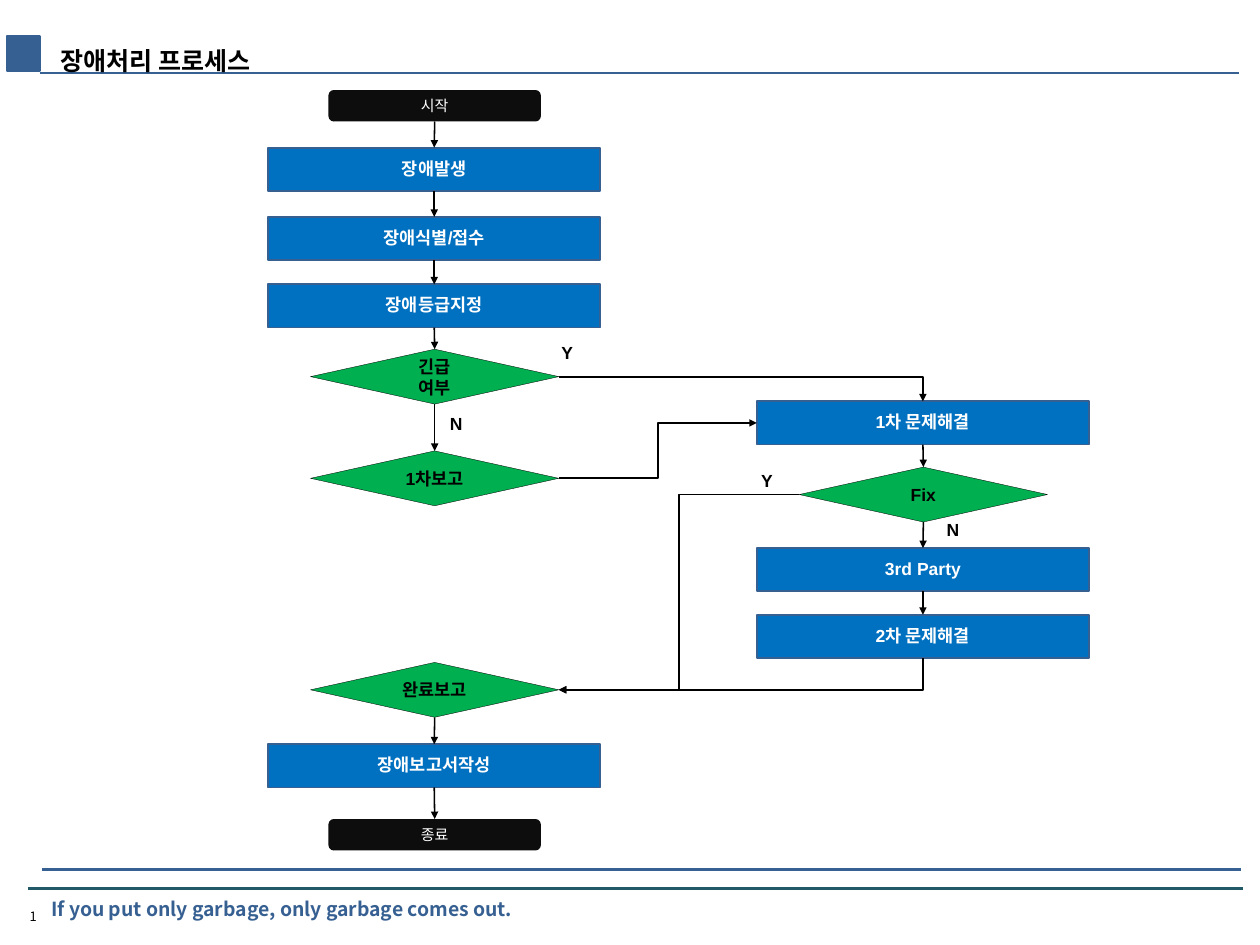
"""Build the incident handling process flowchart slide."""
from lxml import etree
from pptx import Presentation
from pptx import util as u
from pptx.dml.color import RGBColor
from pptx.enum import shapes, text
from pptx.oxml import ns

BLACK = RGBColor(0x00, 0x00, 0x00)
INK = RGBColor(0x0D, 0x0D, 0x0D)
WHITE = RGBColor(0xFF, 0xFF, 0xFF)
NAVY = RGBColor(0x37, 0x60, 0x92)
TEAL = RGBColor(0x21, 0x59, 0x68)
BLUE = RGBColor(0x00, 0x70, 0xC0)
GREEN = RGBColor(0x00, 0xB0, 0x50)
NOTO = "Noto Sans CJK KR"
LEFT_COLUMN, RIGHT_COLUMN = 4.83, 10.26
TOP, LEFT, BOTTOM, RIGHT = range(4)


def write(frame, words, size=14, font="Arial", color=BLACK, bold=True, align=None,
          anchor=text.MSO_ANCHOR.MIDDLE, spacing=None, before=None, inset=(0.1, 0.05)):
    frame.word_wrap = True
    frame.vertical_anchor = anchor
    frame.margin_left = frame.margin_right = u.Inches(inset[0])
    frame.margin_top = frame.margin_bottom = u.Inches(inset[1])
    for index, line in enumerate(words.split("\n")):
        para = frame.add_paragraph() if index else frame.paragraphs[0]
        para.alignment = align
        para.line_spacing = spacing
        if before is not None:
            para.space_before = u.Pt(before)
        span = para.add_run()
        span.text = line
        span.font.size = u.Pt(size)
        span.font.bold = bold
        span.font.name = font
        span.font.color.rgb = color
        east_asian = etree.SubElement(span.font._element, ns.qn("a:ea"))
        east_asian.set("typeface", NOTO)


class FlowChart:
    def __init__(self, slide):
        self.shapes = slide.shapes
        self.rectangle = shapes.MSO_SHAPE.RECTANGLE
        self.center = text.PP_ALIGN.CENTER

    def block(self, kind, left, top, width, height, fill, line=None, weight=1.5):
        box = self.shapes.add_shape(
            kind, u.Inches(left), u.Inches(top), u.Inches(width), u.Inches(height))
        box.shadow.inherit = False
        box.fill.solid()
        box.fill.fore_color.rgb = fill
        if line is None:
            box.line.fill.background()
        else:
            box.line.color.rgb = line
            box.line.width = u.Pt(weight)
        return box

    def terminal(self, words, top):
        box = self.block(shapes.MSO_SHAPE.ROUNDED_RECTANGLE,
                         LEFT_COLUMN - 1.18, top, 2.36, 0.35, INK)
        write(box.text_frame, words, size=12, font=NOTO, color=WHITE, bold=False,
              align=self.center)
        return box

    def step(self, words, center, top):
        box = self.block(self.rectangle, center - 1.85, top, 3.69, 0.48, BLUE, NAVY)
        write(box.text_frame, words, color=WHITE, align=self.center, spacing=0.95,
              before=4, inset=(0.12, 0.12))
        return box

    def decision(self, words, center, top):
        box = self.block(shapes.MSO_SHAPE.FLOWCHART_DECISION,
                         center - 1.38, top, 2.76, 0.61, GREEN, BLACK, 0.25)
        write(box.text_frame, words, align=self.center)
        return box

    def label(self, words, left, top, width=0.48, height=0.34, **style):
        box = self.shapes.add_textbox(
            u.Inches(left), u.Inches(top), u.Inches(width), u.Inches(height))
        write(box.text_frame, words, **{"anchor": text.MSO_ANCHOR.TOP, **style})

    def connector(self, kind, points, color, weight):
        line = self.shapes.add_connector(kind, *map(u.Inches, points))
        line.line.color.rgb = color
        line.line.width = u.Pt(weight)
        etree.SubElement(line._element.spPr, ns.qn("a:effectLst"))
        return line

    def rule(self, left, right, top, color=NAVY):
        self.connector(shapes.MSO_CONNECTOR.STRAIGHT, (left, top, right, top), color, 2)

    def link(self, start, start_side, end, end_side, preset=None, arrow="tailEnd"):
        kind = shapes.MSO_CONNECTOR.ELBOW if preset else shapes.MSO_CONNECTOR.STRAIGHT
        line = self.connector(kind, (0, 0, 0, 0), BLACK, 1.5 if preset else 1.25)
        line.begin_connect(start, start_side)
        line.end_connect(end, end_side)
        if preset:
            line._element.spPr.find(ns.qn("a:prstGeom")).set("prst", preset)
        tip = etree.SubElement(line.line._get_or_add_ln(), ns.qn(f"a:{arrow}"))
        tip.set("type", "triangle")

    def chain(self, *blocks):
        for upper, lower in zip(blocks, blocks[1:]):
            self.link(upper, BOTTOM, lower, TOP)


def main():
    deck = Presentation()
    deck.slide_width, deck.slide_height = u.Inches(14), u.Inches(10.5)
    chart = FlowChart(deck.slides.add_slide(deck.slide_layouts[6]))

    chart.rule(0.31, 13.81, 9.87, TEAL)
    chart.label("1", 0.07, 9.9, 0.6, 0.56, size=10.3, font=NOTO, bold=False,
                align=chart.center, anchor=text.MSO_ANCHOR.MIDDLE, inset=(0.13, 0.06))
    chart.block(chart.rectangle, 0.08, 0.4, 0.36, 0.39, NAVY, NAVY, 2)
    chart.label("If you put only garbage, only garbage comes out.", 0.47, 9.94, 6.79, 0.35,
                size=15.5, font=NOTO, color=NAVY, spacing=0.95, before=5.2)
    chart.rule(0.44, 13.77, 0.81)
    chart.rule(0.47, 13.79, 9.66)
    chart.label("장애처리 프로세스", 0.67, 0.37, 5.78, 0.44, size=20, spacing=1.5,
                anchor=text.MSO_ANCHOR.MIDDLE, inset=(0, 0))

    start = chart.terminal("시작", 1)
    occurred = chart.step("장애발생", LEFT_COLUMN, 1.64)
    received = chart.step("장애식별/접수", LEFT_COLUMN, 2.41)
    graded = chart.step("장애등급지정", LEFT_COLUMN, 3.16)
    urgent = chart.decision("긴급\n여부", LEFT_COLUMN, 3.88)
    first_report = chart.decision("1차보고", LEFT_COLUMN, 5.01)
    final_report = chart.decision("완료보고", LEFT_COLUMN, 7.36)
    document = chart.step("장애보고서작성", LEFT_COLUMN, 8.27)
    finish = chart.terminal("종료", 9.1)

    first_fix = chart.step("1차 문제해결", RIGHT_COLUMN, 4.46)
    fixed = chart.decision("Fix", RIGHT_COLUMN, 5.19)
    third_party = chart.step("3rd Party", RIGHT_COLUMN, 6.09)
    second_fix = chart.step("2차 문제해결", RIGHT_COLUMN, 6.83)

    chart.chain(start, occurred, received, graded, urgent, first_report)
    chart.chain(final_report, document, finish)
    chart.chain(first_fix, fixed, third_party, second_fix)
    chart.link(urgent, RIGHT, first_fix, TOP, "bentConnector2")
    chart.link(first_report, RIGHT, first_fix, LEFT, "bentConnector3")
    chart.link(fixed, LEFT, final_report, RIGHT, "bentConnector3")
    chart.link(final_report, RIGHT, second_fix, BOTTOM, "bentConnector2", "headEnd")

    for words, left, top in (("Y", 6.14, 3.75), ("N", 4.9, 4.54),
                             ("Y", 8.36, 5.17), ("N", 10.42, 5.72)):
        chart.label(words, left, top)

    deck.save("out.pptx")


if __name__ == "__main__":
    main()
